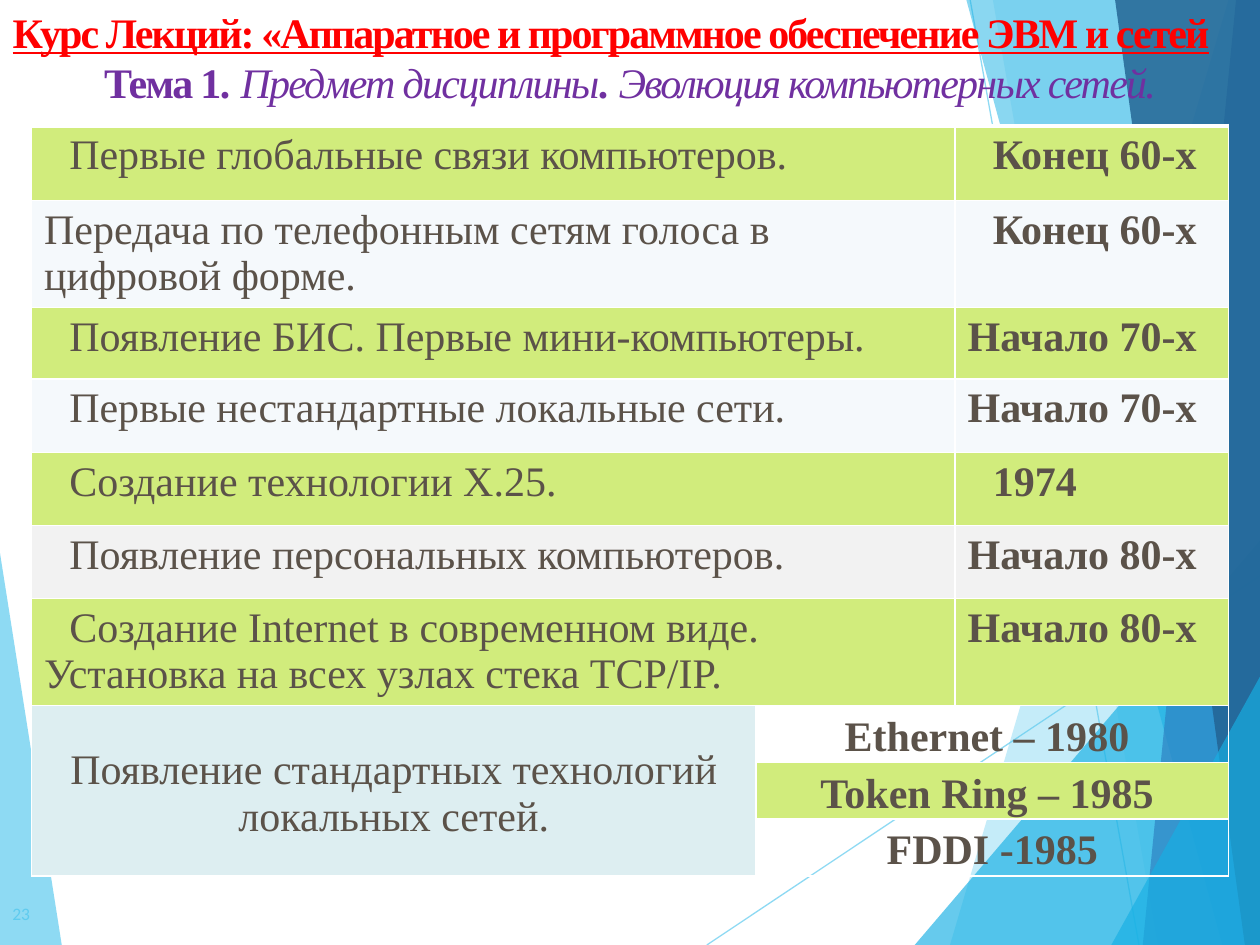
from lxml import etree
from pptx import Presentation
from pptx.dml.color import RGBColor
from pptx.enum.shapes import MSO_CONNECTOR
from pptx.enum.text import MSO_ANCHOR, PP_ALIGN
from pptx.oxml.ns import qn
from pptx.util import Inches, Pt

LINE = MSO_CONNECTOR.STRAIGHT
TOP, MID, LOW = MSO_ANCHOR.TOP, MSO_ANCHOR.MIDDLE, MSO_ANCHOR.BOTTOM
LEFT, MIDST, JUST = PP_ALIGN.LEFT, PP_ALIGN.CENTER, PP_ALIGN.JUSTIFY

HUES = {
    "sky": "5FCBEF", "blue": "17B0E4", "steel": "2E83C3", "navy": "226292",
    "red": "FF0000", "plum": "7030A0", "text": "5B5249", "white": "FFFFFF",
    "lime": "D1EC7C", "pale": "F5F9FC", "gray": "F2F2F2", "mint": "DDEEF1",
}
FACE = "Times New Roman"

DECOR = [
    ("sky", 70, [(0, 4.39), (0.49, 7.5), (0, 7.5)]),
    ("sky", 70, [(5.61, 7.5), (10, 4.57)]),
    ("sky", 70, [(7.7, 0), (9.04, 7.5)]),
    ("sky", 36, [(9.75, 0), (7.54, 7.5), (10, 7.5), (10, 0)]),
    ("sky", 20, [(7.88, 0), (9.19, 7.5), (10, 7.5), (10, 0)]),
    ("blue", 66, [(7.26, 7.5), (10, 4.29), (10, 7.5)]),
    ("blue", 50, [(7.67, 0), (9.7, 7.5), (10, 7.5), (10, 0)]),
    ("steel", 70, [(9.81, 0), (9.07, 7.5), (10, 7.5), (10, 0)]),
    ("navy", 82, [(8.85, 0), (9.88, 7.5), (10, 7.5), (10, 0)]),
    ("blue", 66, [(8.82, 7.5), (10, 5.37), (10, 7.5)]),
]

COURSE = "Курс Лекций: «Аппаратное и программное обеспечение ЭВМ и сетей"
TOPIC = [
    ("Тема 1", True, False),
    (". ", True, True),
    ("Предмет дисциплины", False, True),
    (". ", True, True),
    ("Эволюция компьютерных сетей.", False, True),
]

EVENTS = [
    ("Первые глобальные связи компьютеров.", 0.2, "Конец 60-х", 0.2, "lime"),
    ("Передача по телефонным сетям голоса в цифровой форме.", 0,
     "Конец 60-х", 0.2, "pale"),
    ("Появление БИС. Первые мини-компьютеры.", 0.2, "Начало 70-х", 0, "lime"),
    ("Первые нестандартные локальные сети.", 0.2, "Начало 70-х", 0, "pale"),
    ("Создание технологии Х.25.", 0.2, "1974", 0.2, "lime"),
    ("Появление персональных компьютеров.", 0.2, "Начало 80-х", 0, "gray"),
    ("Создание Internet в современном виде. Установка на всех узлах стека TCP/IP.",
     0.2, "Начало 80-х", 0, "lime"),
]
GROUP = "Появление стандартных технологий локальных сетей."
NORMS = [("Ethernet – 1980 ", None), ("Token Ring – 1985 ", "lime"),
         ("FDDI -1985", None)]
COLS = [5.75, 1.58, 2.17]
ROWS = [0.59, 0.85, 0.57, 0.58, 0.58, 0.58, 0.85] + [0.45] * len(NORMS)


def apply(item, values):
    for key, value in values.items():
        setattr(item, key, value)


def tint(fill, hue):
    fill.solid()
    fill.fore_color.rgb = RGBColor.from_string(HUES[hue])


def fade(item, share):
    for color in item._element.spPr.iter(qn("a:srgbClr")):
        etree.SubElement(color, qn("a:alpha")).set("val", str(share * 1000))


def write(para, text, hue, gap=0, **font):
    run = para.add_run()
    run.text = text
    apply(run.font, {"name": FACE, "size": Pt(24), **font})
    run.font.color.rgb = RGBColor.from_string(HUES[hue])
    if gap:
        run._r.get_or_add_rPr().set("spc", str(gap))


def place(item, box, anchor):
    names = ("left", "top", "width", "height")
    apply(item, dict(zip(names, map(Inches, box))))
    frame = item.text_frame
    apply(frame, {"word_wrap": True, "vertical_anchor": anchor})
    return frame.paragraphs[0]


def edge(cell, top):
    props = cell._tc.get_or_add_tcPr()
    for side in "LRTB":
        width = Pt(top if side == "T" else 1)
        line = etree.SubElement(props, qn("a:ln" + side), w=str(width))
        solid = etree.SubElement(line, qn("a:solidFill"))
        etree.SubElement(solid, qn("a:srgbClr"), val=HUES["white"])


def put(cell, text, hue, bold, align=LEFT, anchor=TOP, indent=0):
    apply(cell, {"margin_left": Inches(0.1), "margin_right": Inches(0.1),
                 "margin_top": Inches(0.05), "margin_bottom": 0,
                 "vertical_anchor": anchor})
    if hue:
        tint(cell.fill, hue)
    else:
        cell.fill.background()
    para = cell.text_frame.paragraphs[0]
    para.alignment = align
    para._p.get_or_add_pPr().set("indent", str(Inches(indent)))
    write(para, text, "text", bold=bold)


deck = Presentation()
apply(deck, {"slide_width": Inches(10), "slide_height": Inches(7.5)})
slide = deck.slides.add_slide(deck.slide_layouts[5])
shapes = slide.shapes

for hue, share, points in DECOR:
    spots = [(Inches(x), Inches(y)) for x, y in points]
    if len(spots) == 2:
        part = shapes.add_connector(LINE, *spots[0], *spots[1])
        tint(part.line.fill, hue)
        part.line.width = Pt(0.75)
        etree.SubElement(part._element.spPr, qn("a:effectLst"))
    else:
        pen = shapes.build_freeform(*spots[0])
        pen.add_line_segments(spots[1:], close=True)
        part = pen.convert_to_shape()
        part.shadow.inherit = False
        tint(part.fill, hue)
        part.line.fill.background()
    fade(part, share)

title = shapes.title
shapes._spTree.append(title._element)
para = place(title, (0, 0, 10, 0.5), LOW)
para.alignment = JUST
write(para, COURSE, "red", -110, bold=True, underline=True)

para = place(shapes.add_textbox(0, 0, 0, 0), (0, 0.42, 10, 0.48), TOP)
apply(para, {"alignment": MIDST, "line_spacing": Pt(27)})
for text, bold, slant in TOPIC:
    write(para, text, "plum", -100, bold=bold, italic=slant)

frame = shapes.add_table(len(ROWS), len(COLS), Inches(0.25), Inches(1),
                         Inches(sum(COLS)), Inches(sum(ROWS)))
table = frame.table
apply(table, {"first_row": False, "horz_banding": False})
for col, width in zip(table.columns, COLS):
    col.width = Inches(width)
for row, height in zip(table.rows, ROWS):
    row.height = Inches(height)
for spot, cell in enumerate(table.iter_cells()):
    edge(cell, 3 if spot < len(COLS) else 1)

for row, (event, inset, date, shift, hue) in enumerate(EVENTS):
    table.cell(row, 0).merge(table.cell(row, 1))
    put(table.cell(row, 0), event, hue, False, indent=inset)
    put(table.cell(row, 2), date, hue, True, indent=shift)

first = len(EVENTS)
table.cell(first, 0).merge(table.cell(len(ROWS) - 1, 0))
put(table.cell(first, 0), GROUP, "mint", False, MIDST, MID)
for row, (norm, hue) in enumerate(NORMS, first):
    table.cell(row, 1).merge(table.cell(row, 2))
    put(table.cell(row, 1), norm, hue, True, MIDST, MID)

para = place(shapes.add_textbox(0, 0, 0, 0), (0, 7.05, 0.6, 0.4), MID)
write(para, "23", "sky", name="Calibri", size=Pt(10))

deck.save("out.pptx")
